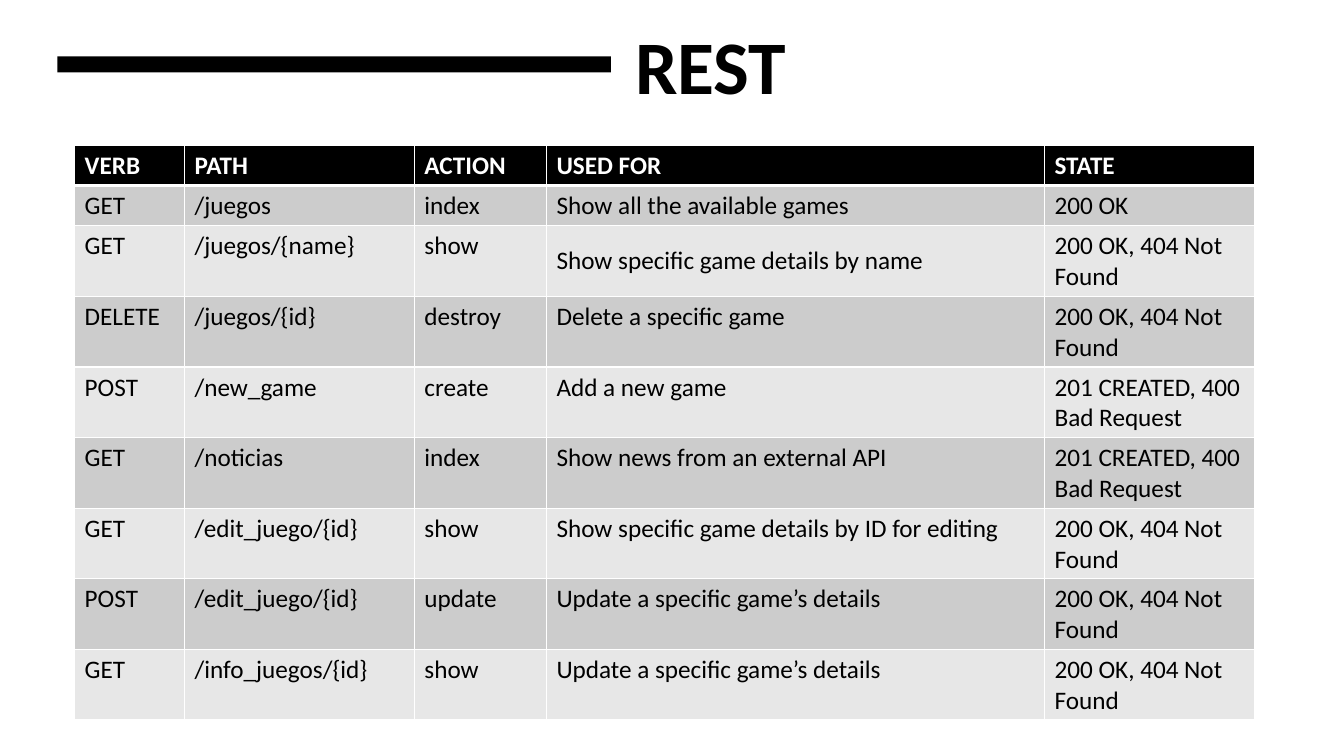
from lxml.etree import SubElement
from pptx import Presentation
from pptx.dml.color import RGBColor
from pptx.enum.shapes import MSO_SHAPE
from pptx.enum.text import MSO_ANCHOR
from pptx.oxml.ns import qn
from pptx.util import Inches, Pt

BLACK, WHITE = "000000", "FFFFFF"
BANDS = ["CCCCCC", "E7E7E7"]
COL_WIDTHS = [1.09, 2.28, 1.31, 4.94, 2.08]
FOUND = "200 OK, 404 Not Found"
CREATED = "201 CREATED, 400 Bad Request"
ROUTES = [
    ["VERB", "PATH", "ACTION", "USED FOR", "STATE"],
    ["GET", "/juegos", "index", "Show all the available games", "200 OK"],
    ["GET", "/juegos/{name}", "show", "Show specific game details by name", FOUND],
    ["DELETE", "/juegos/{id}", "destroy", "Delete a specific game", FOUND],
    ["POST", "/new_game", "create", "Add a new game", CREATED],
    ["GET", "/noticias", "index", "Show news from an external API", CREATED],
    ["GET", "/edit_juego/{id}", "show", "Show specific game details by ID for editing", FOUND],
    ["POST", "/edit_juego/{id}", "update", "Update a specific game’s details", FOUND],
    ["GET", "/info_juegos/{id}", "show", "Update a specific game’s details", FOUND],
]


def rgb(color):
    return RGBColor.from_string(color)


def write(tf, text, color, **fmt):
    r = tf.paragraphs[0].add_run()
    r.text = text
    r.font.color.rgb = rgb(color)
    for name, value in {"name": "Calibri", **fmt}.items():
        setattr(r.font, name, value)


def add_bar(s, x, y, w, h, color):
    sp = s.shapes.add_shape(MSO_SHAPE.RECTANGLE, Inches(x), Inches(y), Inches(w), Inches(h))
    sp.shadow.inherit = False
    sp.fill.solid()
    sp.fill.fore_color.rgb = rgb(color)
    sp.line.fill.background()


def add_title(s, text, x, y, w, h):
    tf = s.shapes.add_textbox(Inches(x), Inches(y), Inches(w), Inches(h)).text_frame
    tf.word_wrap = True
    tf.vertical_anchor = MSO_ANCHOR.MIDDLE
    write(tf, text, BLACK, size=Pt(54), bold=True)


def set_borders(cell, widths):
    tcPr = cell._tc.get_or_add_tcPr()
    for side, width in widths.items():
        ln = SubElement(tcPr, qn(f"a:ln{side}"), w=str(Pt(width)))
        fill = SubElement(ln, qn("a:solidFill"))
        SubElement(fill, qn("a:srgbClr"), val=WHITE)


def format_cell(cell, text, row):
    header = row == 0
    set_borders(cell, {"L": 1, "R": 1, "T": 3 if row == 1 else 1, "B": 3 if header else 1})
    cell.fill.solid()
    cell.fill.fore_color.rgb = rgb(BLACK if header else BANDS[(row - 1) % 2])
    write(cell.text_frame, text, WHITE if header else BLACK, size=Pt(18), bold=header)


def add_routes_table(s, x, y, h):
    table = s.shapes.add_table(len(ROUTES), len(COL_WIDTHS), Inches(x), Inches(y),
                               Inches(sum(COL_WIDTHS)), Inches(h)).table
    for col, width in zip(table.columns, COL_WIDTHS):
        col.width = Inches(width)
    for i, route in enumerate(ROUTES):
        table.rows[i].height = Inches(0.38 if i < 2 else 0.66)
        for j, text in enumerate(route):
            format_cell(table.cell(i, j), text, i)
    table.cell(2, 3).vertical_anchor = MSO_ANCHOR.MIDDLE


def main():
    prs = Presentation()
    prs.slide_width, prs.slide_height = Inches(13.33), Inches(7.5)
    s = prs.slides.add_slide(prs.slide_layouts[6])
    add_bar(s, 0.57, 0.56, 5.49, 0.16, BLACK)
    add_title(s, "REST", 6.2, 0.11, 5.49, 1.06)
    add_routes_table(s, 0.74, 1.44, 5.7)
    prs.save("out.pptx")


if __name__ == "__main__":
    main()
